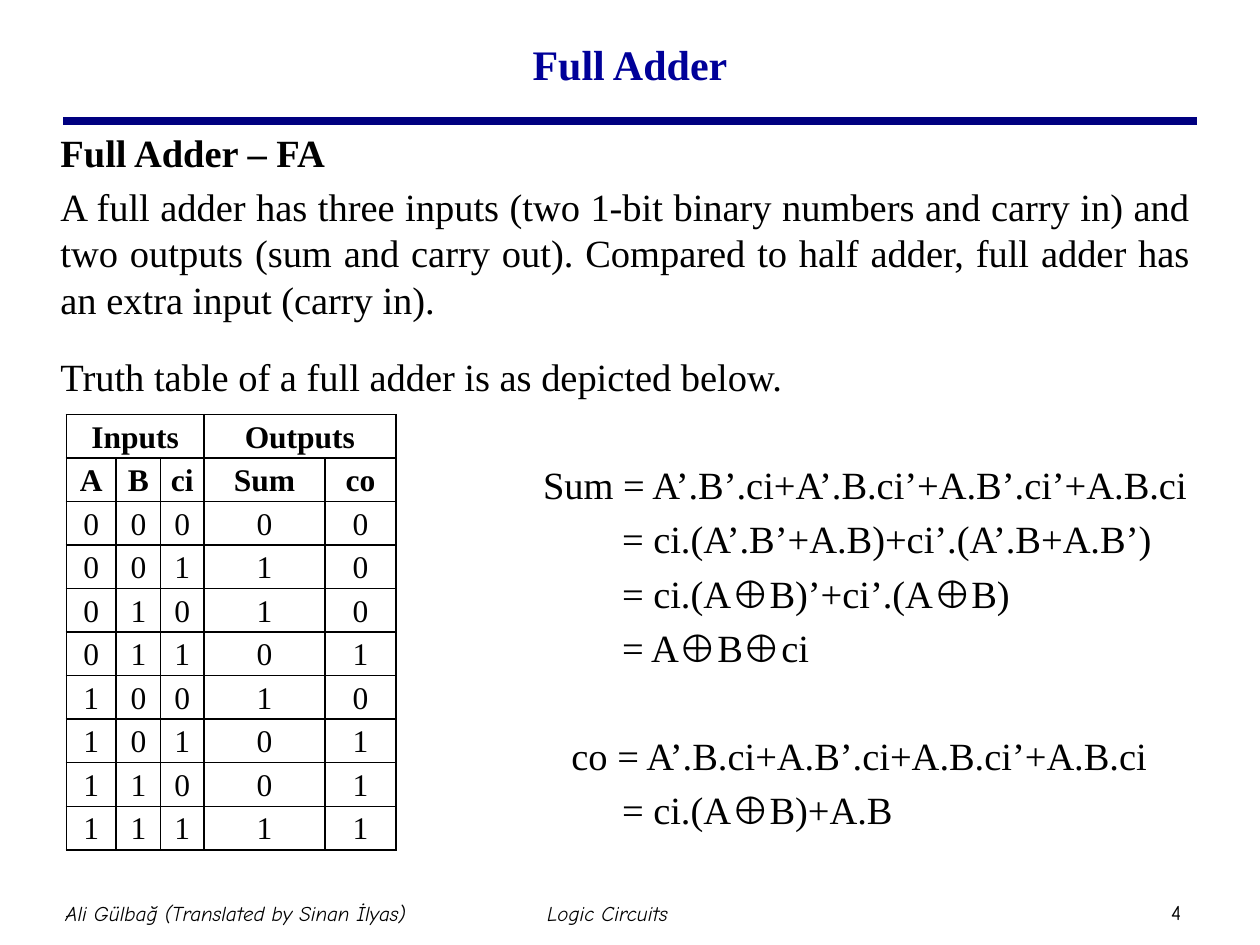
from dataclasses import dataclass

from lxml import etree
from pptx import Presentation
from pptx.dml.color import RGBColor
from pptx.enum.shapes import MSO_CONNECTOR
from pptx.enum.text import MSO_ANCHOR, PP_ALIGN
from pptx.oxml.ns import qn
from pptx.util import Cm, Pt

STRAIGHT = MSO_CONNECTOR.STRAIGHT
TOP, MIDDLE = MSO_ANCHOR.TOP, MSO_ANCHOR.MIDDLE
LEFT, CENTER, JUSTIFY = PP_ALIGN.LEFT, PP_ALIGN.CENTER, PP_ALIGN.JUSTIFY


@dataclass(frozen=True)
class Theme:
    ink: str = "000000"
    title: str = "000099"
    rule: str = "000080"
    serif: str = "Times New Roman"
    casual: str = "Comic Neue"
    title_size: float = 24
    body_size: float = 22
    table_size: float = 18
    footer_size: float = 12
    body_line: float = 26.6
    paragraph_gap: float = 4.4
    rule_width: float = 4.5
    border_width: float = 1


def write_text(para, text, *, font, size, color, bold=False, italic=False,
               align=LEFT, before=0, line=None, indent=0):
    """Put one formatted span into a paragraph; indent is in centimetres."""
    para.alignment = align
    para.space_before = Pt(before)
    if line is not None:
        para.line_spacing = line
    if indent:
        para._p.get_or_add_pPr().set("marL", str(Cm(indent)))
    span = para.add_run()
    span.text = text
    span.font.name = font
    span.font.size = Pt(size)
    span.font.bold = bold
    span.font.italic = italic
    span.font.color.rgb = RGBColor.from_string(color)


class SlideBuilder:
    def __init__(self, slide, theme):
        self.slide = slide
        self.theme = theme

    def rule(self, left, right, y):
        line = self.slide.shapes.add_connector(
            STRAIGHT, Cm(left), Cm(y), Cm(right), Cm(y))
        line.line.color.rgb = RGBColor.from_string(self.theme.rule)
        line.line.width = Pt(self.theme.rule_width)
        etree.SubElement(line._element.spPr, qn("a:effectLst"))

    def frame(self, left, top, width, height, anchor=MIDDLE):
        box = self.slide.shapes.add_textbox(
            Cm(left), Cm(top), Cm(width), Cm(height))
        box.text_frame.word_wrap = True
        box.text_frame.vertical_anchor = anchor
        return box.text_frame

    def title(self, text, *place):
        write_text(self.frame(*place).paragraphs[0], text,
                   font=self.theme.serif, size=self.theme.title_size,
                   color=self.theme.title, bold=True, align=CENTER)

    def footer(self, text, *place, italic=True):
        frame = self.frame(*place)
        frame.margin_left = frame.margin_right = Cm(0.13)
        write_text(frame.paragraphs[0], text, font=self.theme.casual,
                   size=self.theme.footer_size, color=self.theme.ink,
                   italic=italic, align=CENTER)

    def body(self, paragraphs, *place):
        frame = self.frame(*place, anchor=TOP)
        for index, (text, changes) in enumerate(paragraphs):
            para = frame.add_paragraph() if index else frame.paragraphs[0]
            style = {"before": self.theme.paragraph_gap, **changes}
            write_text(para, text, font=self.theme.serif,
                       size=self.theme.body_size, color=self.theme.ink,
                       line=Pt(self.theme.body_line), **style)

    def table(self, rows, widths, row_height, left, top, merges, header_rows):
        table = self.slide.shapes.add_table(
            len(rows), len(widths), Cm(left), Cm(top),
            Cm(sum(widths)), Cm(row_height * len(rows))).table
        table.first_row = table.horz_banding = False
        for column, width in zip(table.columns, widths):
            column.width = Cm(width)
        for row in table.rows:
            row.height = Cm(row_height)
        for first, last in merges:
            table.cell(0, first).merge(table.cell(0, last))
        for row_index, row in enumerate(rows):
            for column_index, text in enumerate(row):
                self.cell(table.cell(row_index, column_index), text,
                          bold=row_index < header_rows)

    def cell(self, cell, text, bold):
        cell.margin_left = cell.margin_right = Cm(0.05)
        cell.margin_top = cell.margin_bottom = 0
        self.borders(cell)
        cell.fill.background()
        if text:
            write_text(cell.text_frame.paragraphs[0], text,
                       font=self.theme.serif, size=self.theme.table_size,
                       color=self.theme.ink, bold=bold, align=CENTER,
                       before=6, line=1.15)

    def borders(self, cell):
        properties = cell._tc.get_or_add_tcPr()
        for side in ("lnL", "lnR", "lnT", "lnB"):
            edge = etree.SubElement(properties, qn(f"a:{side}"),
                                    w=str(Pt(self.theme.border_width)))
            fill = etree.SubElement(edge, qn("a:solidFill"))
            etree.SubElement(fill, qn("a:srgbClr"), val=self.theme.ink)


def main():
    deck = Presentation()
    deck.slide_width, deck.slide_height = Cm(25.4), Cm(19.05)
    page = SlideBuilder(deck.slides.add_slide(deck.slide_layouts[6]), Theme())

    # Heading
    page.rule(1.27, 24.13, 2.44)
    page.title("Full Adder", 1.9, 0.2, 21.6, 2.18)

    # Explanation and equations
    prose = {"align": JUSTIFY}
    sum_start = {"indent": 9.73, "before": 35}
    carry_start = {"indent": 10.3, "before": 35}
    next_step = {"indent": 11.32}
    page.body([
        ("Full Adder – FA", {"align": JUSTIFY, "bold": True}),
        ("A full adder has three inputs (two 1-bit binary numbers and carry "
         "in) and two outputs (sum and carry out). Compared to half adder, "
         "full adder has an extra input (carry in).", prose),
        ("Truth table of a full adder is as depicted below.",
         {"align": JUSTIFY, "before": 17.7}),
        ("Sum = A’.B’.ci+A’.B.ci’+A.B’.ci’+A.B.ci", sum_start),
        ("= ci.(A’.B’+A.B)+ci’.(A’.B+A.B’)", next_step),
        ("= ci.(A⊕B)’+ci’.(A⊕B)", next_step),
        ("= A⊕B⊕ci", next_step),
        ("co = A’.B.ci+A.B’.ci+A.B.ci’+A.B.ci", carry_start),
        ("= ci.(A⊕B)+A.B", next_step),
    ], 0.97, 2.46, 23.27, 15.11)

    # Truth table: the outputs follow from the count of ones
    rows = [["Inputs", "", "", "Outputs", ""], ["A", "B", "ci", "Sum", "co"]]
    for number in range(8):
        bits = [number >> shift & 1 for shift in (2, 1, 0)]
        carry, total = divmod(sum(bits), 2)
        rows.append([str(bit) for bit in (*bits, total, carry)])
    page.table(rows, widths=[1, 0.9, 0.87, 2.44, 1.43], row_height=0.8,
               left=1.34, top=8.36, merges=[(0, 2), (3, 4)], header_rows=2)

    # Footer
    page.footer("Ali Gülbağ (Translated by Sinan İlyas)", 0.2, 17.78, 9.1, 1.27)
    page.footer("Logic Circuits", 7.7, 17.78, 9.1, 1.27)
    page.footer("4", 23.11, 18.01, 1.2, 0.76, italic=False)

    deck.save("out.pptx")


if __name__ == "__main__":
    main()
